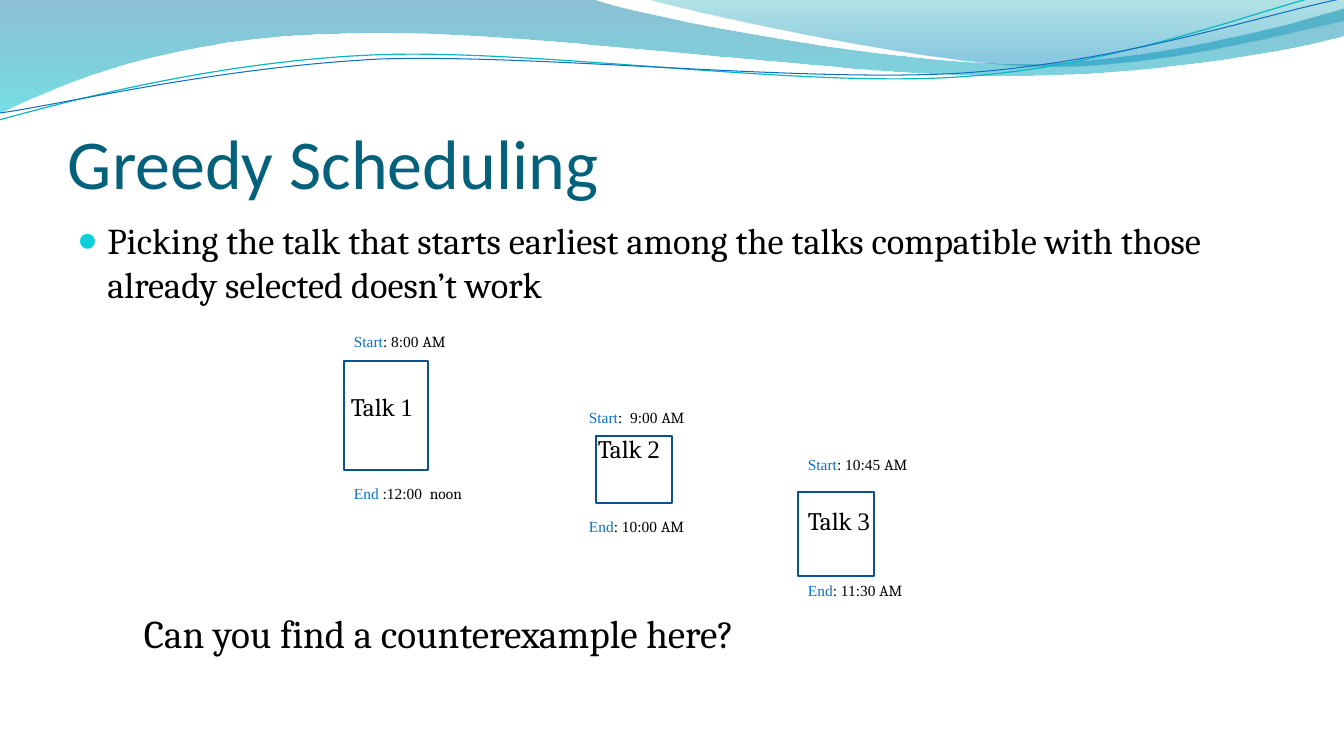
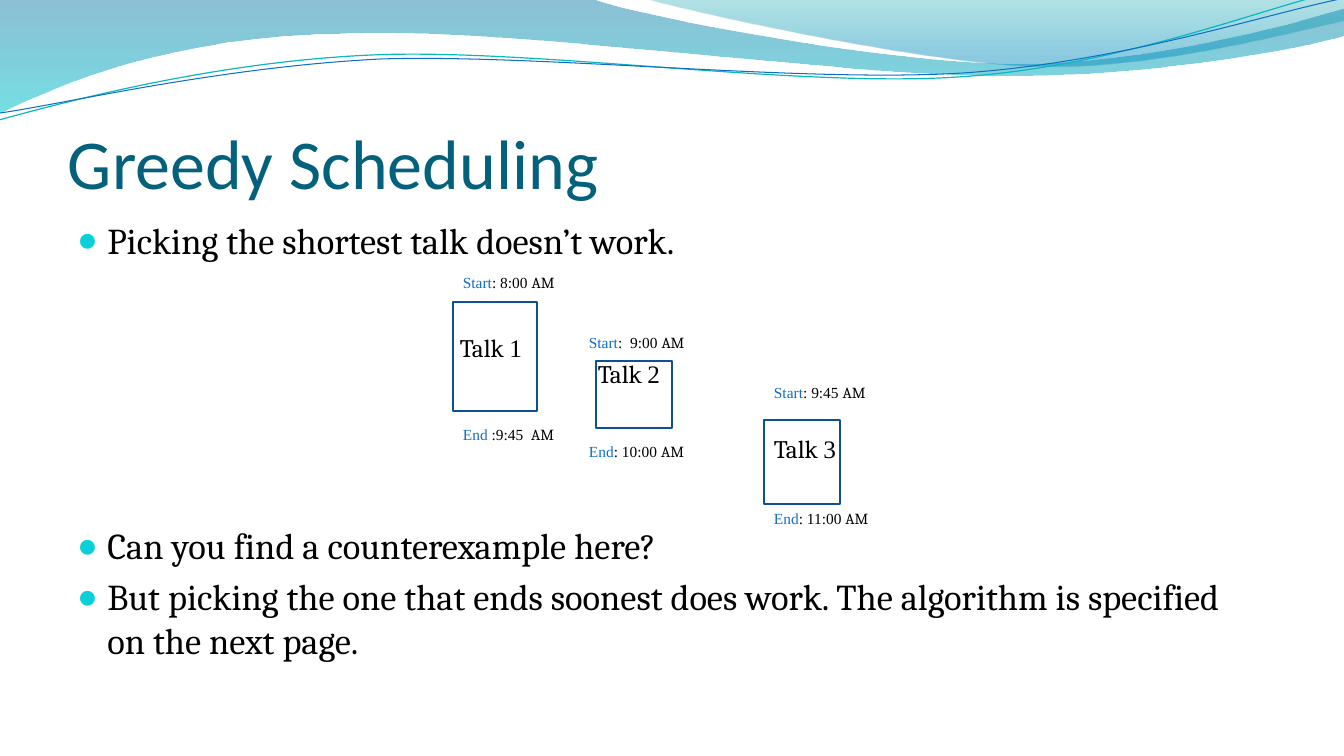
from lxml import etree
from pptx import Presentation
from pptx import util as u
from pptx.dml.color import RGBColor
from pptx.enum import shapes, text
from pptx.oxml.ns import qn

WIDTH, HEIGHT = 1344, 756
PX = 12192000 / WIDTH

COLORS = {"title": "04617B", "text": "000000", "bullet": "0BD0D9", "label": "0F6FC6",
          "box": "0B5292", "teal": "0AB8BF", "deep": "0074A1", "aqua": "00C6CF",
          "green": "00A1A9", "sky": "008BBF"}
SERIF, TIMES, SANS = "Cambria", "Times New Roman", "Calibri"

TITLE = "Greedy Scheduling"
TITLE_BOX = (68, 78, 1210, 126)
BODY_LEFT, BODY_TOP, BODY_WIDTH = 67, 213, 1204
QUESTION = "Can you find a counterexample here?"

# A pair is the end of a straight segment, a triple of pairs a Bézier segment.
WAVES = [
    {"start": (0, 0),
     "segments": [(592, -1), ((639, 17), (892, 64), (1019, 64)),
                  ((1147, 64), (1288, 26), (1344, 9)), (1346, 36),
                  ((1321, 44), (1169, 77), (1002, 76)),
                  ((836, 76), (513, 28), (346, 34)), ((173, 36), (61, 84), (-1, 114))],
     "stops": [(0, "deep", 45), (1, "aqua", 55)]},
    {"start": (644, -1),
     "segments": [((684, 11), (916, 62), (1033, 66)),
                  ((1150, 70), (1292, 32), (1344, 21)), (1344, 0)],
     "stops": [(0, "green", 30), (0.8, "sky", 45)]},
    {"start": (-1, 120),
     "segments": [((65, 102), (213, 62), (372, 55)), ((531, 48), (796, 88), (958, 77)),
                  ((1119, 67), (1262, 8), (1342, -10))],
     "line": ("teal", 0.85)},
    {"start": (0, 113),
     "segments": [((64, 104), (220, 67), (381, 59)), ((541, 54), (802, 83), (963, 73)),
                  ((1124, 62), (1265, 14), (1345, -2))],
     "line": ("label", 0.75)},
]

# Box size, then the offsets of the name, start and end labels from the box.
TALKS = {
    1: {"size": (84, 109), "name": (-3, 25), "start": (0, -34), "end": (0, 118)},
    2: {"size": (76, 67), "name": (-8, -8), "start": (-17, -33), "end": (-17, 76)},
    3: {"size": (76, 84), "name": (0, 8), "start": (0, -42), "end": (0, 84)},
}

# Bullets are (text, space before in points or None for the template's own).
SLIDES = [
    {"bullets": [("Picking the talk that starts earliest among the talks compatible with "
                  "those already selected doesn’t work", None)],
     "body_height": 96,
     "talks": [(1, (344, 361), ": 8:00 AM", " :12:00  noon"),
               (2, (596, 436), ":  9:00 AM", ": 10:00 AM"),
               (3, (798, 492), ": 10:45 AM", ": 11:30 AM")],
     "question": (134, 604, 672, 57)},
    {"bullets": [("Picking the shortest talk doesn’t work.", None),
                 (QUESTION, 187),
                 ("But picking the one that ends soonest does work. The algorithm is "
                  "specified on the next page.", None)],
     "body_height": 484,
     "talks": [(2, (596, 361), ":  9:00 AM", ": 10:00 AM"),
               (1, (453, 302), ": 8:00 AM", " :9:45  AM"),
               (3, (764, 420), ": 9:45 AM", ": 11:00 AM")]},
]


def emu(pixels):
    return u.Emu(round(pixels * PX))


def rgb(name):
    return RGBColor.from_string(COLORS[name])


def place(shape, box):
    for attribute, value in zip(("left", "top", "width", "height"), box):
        setattr(shape, attribute, emu(value))


def add_run(paragraph, words, size, font=SERIF, color="text"):
    run = paragraph.add_run()
    run.text = words
    for attribute, value in {"size": u.Pt(size), "name": font}.items():
        setattr(run.font, attribute, value)
    run.font.color.rgb = rgb(color)


def add_label(slide, box, runs, size):
    """Add a text box whose runs are (words, font, colour name)."""
    label = slide.shapes.add_textbox(*map(emu, box))
    label.text_frame.word_wrap = True
    label.text_frame.auto_size = text.MSO_AUTO_SIZE.SHAPE_TO_FIT_TEXT
    for words, font, color in runs:
        add_run(label.text_frame.paragraphs[0], words, size, font, color)


def is_curve(segment):
    return isinstance(segment[0], tuple)


def bend_segments(shape, segments):
    """Join the straight steps through each set of control points into a Bézier."""
    steps = iter(list(shape.element.spPr.iter(qn("a:lnTo"))))
    for segment in segments:
        first = next(steps)
        if is_curve(segment):
            first.tag = qn("a:cubicBezTo")
            for _ in segment[1:]:
                step = next(steps)
                first.append(step[0])
                step.getparent().remove(step)


def add_wave(slide, wave):
    points = []
    for segment in wave["segments"]:
        points.extend(segment if is_curve(segment) else [segment])
    builder = slide.shapes.build_freeform(*wave["start"], scale=PX)
    builder.add_line_segments(points, close="stops" in wave)
    shape = builder.convert_to_shape()
    bend_segments(shape, wave["segments"])
    shape.shadow.inherit = False
    if "line" in wave:
        color, width = wave["line"]
        shape.fill.background()
        shape.line.color.rgb = rgb(color)
        shape.line.width = u.Pt(width)
        return shape
    shape.line.fill.background()
    shape.fill.gradient()
    shape.fill.gradient_angle = 270
    for stop, (position, color, _) in zip(shape.fill.gradient_stops, wave["stops"]):
        stop.position = position
        stop.color.rgb = rgb(color)
    for element, (_, _, opacity) in zip(shape.element.spPr.iter(qn("a:srgbClr")),
                                        wave["stops"]):
        etree.SubElement(element, qn("a:alpha"), val=str(opacity * 1000))
    return shape


def move_to_layout(layout, decorations):
    """Put shapes at the back of the layout, so that every slide shows them."""
    tree = layout.shapes.element
    for index, shape in enumerate(decorations, start=2):
        tree.insert(index, shape.element)


def fill_title(title):
    place(title, TITLE_BOX)
    frame = title.text_frame
    settings = {"margin_left": 0, "margin_right": 0, "margin_bottom": 0,
                "margin_top": u.Inches(0.05), "vertical_anchor": text.MSO_ANCHOR.BOTTOM,
                "auto_size": text.MSO_AUTO_SIZE.NONE}
    for attribute, value in settings.items():
        setattr(frame, attribute, value)
    frame.paragraphs[0].alignment = text.PP_ALIGN.LEFT
    add_run(frame.paragraphs[0], TITLE, 50, SANS, "title")


def add_bullet(paragraph):
    properties = paragraph._p.get_or_add_pPr()
    indent = u.Inches(0.3)
    properties.set("marL", str(indent))
    properties.set("indent", str(-indent))
    color = etree.SubElement(properties, qn("a:buClr"))
    etree.SubElement(color, qn("a:srgbClr"), val=COLORS["bullet"])
    etree.SubElement(properties, qn("a:buSzPct"), val="95000")
    etree.SubElement(properties, qn("a:buChar"), char="●")


def fill_body(body, bullets, height):
    place(body, (BODY_LEFT, BODY_TOP, BODY_WIDTH, height))
    frame = body.text_frame
    frame.auto_size = text.MSO_AUTO_SIZE.NONE
    for index, (words, space_before) in enumerate(bullets):
        paragraph = frame.add_paragraph() if index else frame.paragraphs[0]
        if space_before:
            paragraph.space_before = u.Pt(space_before)
        add_bullet(paragraph)
        add_run(paragraph, words, 26)


def add_talk(slide, number, corner, start, end):
    talk = TALKS[number]
    box = slide.shapes.add_shape(shapes.MSO_SHAPE.RECTANGLE,
                                 *map(emu, (*corner, *talk["size"])))
    box.shadow.inherit = False
    box.fill.background()
    box.line.color.rgb = rgb("box")
    box.line.width = u.Pt(2)

    def beside(key, size):
        return (corner[0] + talk[key][0], corner[1] + talk[key][1], *size)

    add_label(slide, beside("name", (92, 40)),
              [("Talk ", SERIF, "text"), (str(number), TIMES, "text")], 18)
    for key, time in (("start", start), ("end", end)):
        clock, space, suffix = time.rpartition(" ")
        add_label(slide, beside(key, (184, 29)),
                  [(key.title(), TIMES, "label"), (clock + space, TIMES, "text"),
                   (suffix, SERIF, "text")], 11)


def main():
    presentation = Presentation()
    presentation.slide_width, presentation.slide_height = emu(WIDTH), emu(HEIGHT)
    layout = presentation.slide_layouts[1]
    for content in SLIDES:
        slide = presentation.slides.add_slide(layout)
        fill_title(slide.shapes.title)
        fill_body(slide.placeholders[1], content["bullets"], content["body_height"])
        for talk in content["talks"]:
            add_talk(slide, *talk)
        if "question" in content:
            add_label(slide, content["question"], [(QUESTION, SERIF, "text")], 28)
    move_to_layout(layout, [add_wave(slide, wave) for wave in WAVES])
    presentation.save("out.pptx")


if __name__ == "__main__":
    main()
